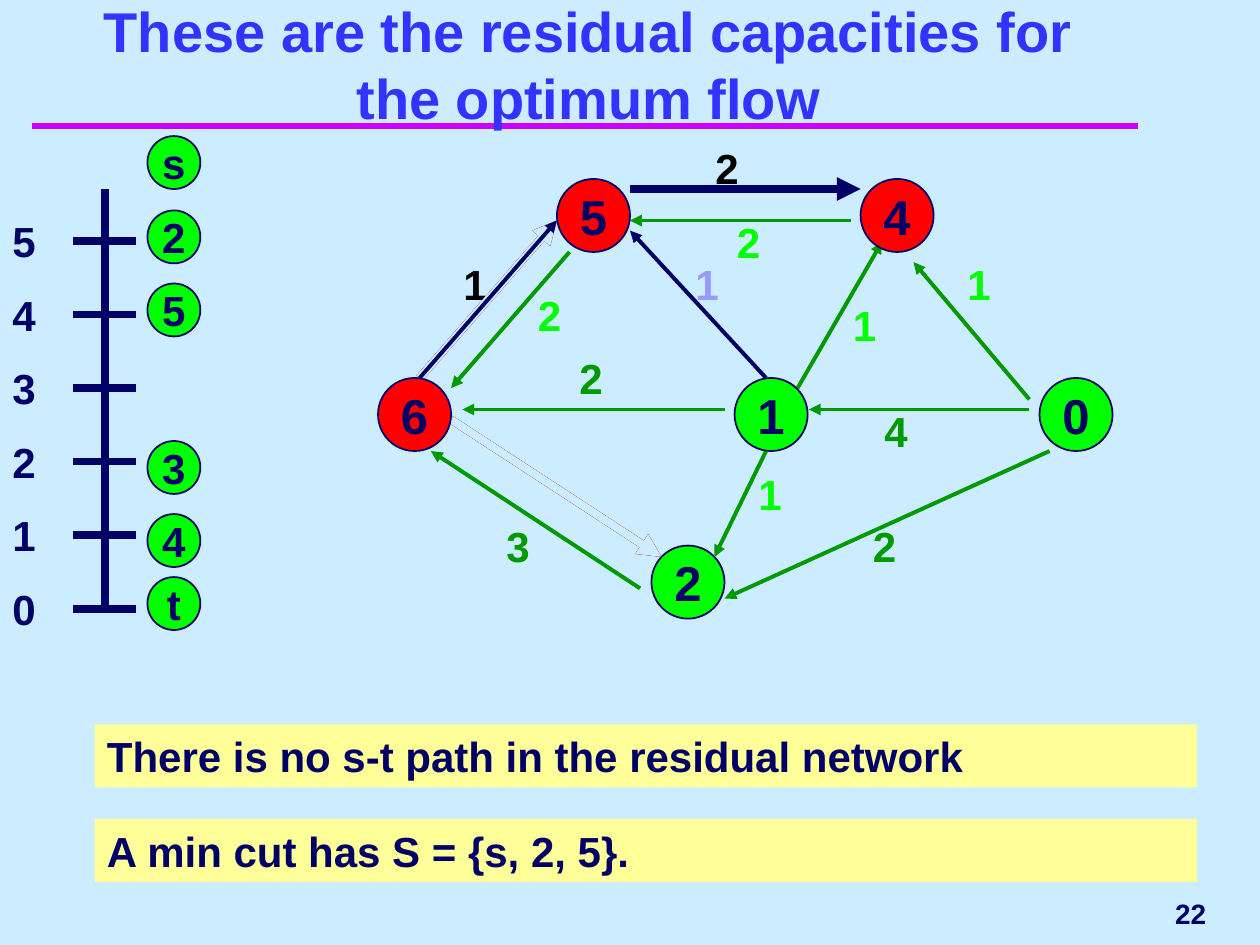
from lxml.etree import SubElement
from pptx import Presentation
from pptx.dml.color import RGBColor
from pptx.enum.shapes import MSO_CONNECTOR, MSO_SHAPE
from pptx.enum.text import MSO_ANCHOR, PP_ALIGN
from pptx.oxml.ns import qn
from pptx.util import Inches, Pt

NAVY, BACKGROUND, BLACK = "000066", "CCECFF", "000000"
GREEN, LIME, RED = "009900", "00FF00", "FF0000"
LILAC, YELLOW, BLUE, MAGENTA = "9999FF", "FFFF99", "3333FF", "CC00FF"

TITLE = "These are the residual capacities for the optimum flow"
PAGE_NUMBER = "22"
NOTES = [("There is no s-t path in the residual network", 5.75),
         ("A min cut has S = {s, 2, 5}.", 6.5)]

# Distance label, left, top, fill
NODE_SIZE = 0.58
NODES = [("0", 8.25, 3, LIME), ("2", 5.17, 4.33, LIME), ("1", 5.83, 3, LIME),
         ("4", 6.83, 1.42, RED), ("5", 4.42, 1.42, RED), ("6", 3, 3, RED)]

# Capacity, left, top, colour
CAPACITIES = [
    ("2", 6.83, 4.08, GREEN), ("3", 3.92, 4.08, GREEN),
    ("4", 6.92, 3.17, GREEN), ("2", 4.5, 2.75, GREEN),
    ("2", 5.58, 1.08, BLACK), ("1", 3.58, 2, BLACK),
    ("1", 5.42, 2, LILAC), ("1", 7.58, 2, LIME),
    ("1", 5.92, 3.67, LIME), ("2", 5.75, 1.67, LIME),
    ("2", 4.17, 2.25, LIME), ("1", 6.67, 2.33, LIME),
]

# Arcs: start, end
SATURATED_ARCS = [((3.58, 3.33), (5.25, 4.42)), ((3.33, 3), (4.42, 1.75))]
FORWARD_ARCS = [((6.08, 3), (5, 1.83)), ((3.33, 3), (4.42, 1.75))]
WIDE_ARC = ((5, 1.5), (6.83, 1.5))
REVERSE_ARCS = [
    ((5.75, 3.25), (3.67, 3.25)), ((8.17, 3.25), (6.42, 3.25)),
    ((5.08, 4.67), (3.42, 3.58)), ((8.33, 3.58), (5.75, 4.75)),
    ((4.52, 2), (3.58, 3.08)), ((6.75, 1.75), (5, 1.75)),
    ((8.17, 3.17), (7.25, 2.08)), ((6.08, 3.58), (5.67, 4.42)),
    ((6.33, 3.08), (7, 1.92)),
]

# Distance scale
SCALE_X, SCALE_TOP, SCALE_BOTTOM = 0.83, 1.5, 4.83
LEVELS, LEVEL_GAP = 6, 7 / 12
SCALE_NODE_SIZE = 0.42
SCALE_NODES = [("t", 4.58), ("4", 4.08), ("3", 3.5),
               ("5", 2.25), ("2", 1.67), ("s", 1.08)]


def color(value):
    return RGBColor.from_string(value)


def write(shape, text, size, text_color=NAVY, align=PP_ALIGN.LEFT,
          anchor=MSO_ANCHOR.TOP, wrap=True):
    frame = shape.text_frame
    frame.word_wrap = wrap
    frame.vertical_anchor = anchor
    paragraph = frame.paragraphs[0]
    paragraph.text = text
    paragraph.alignment = align
    font = paragraph.font
    font.name, font.size, font.bold = "Arial", Pt(size), True
    font.color.rgb = color(text_color)


def add_text(slide, text, box, size=24, text_color=NAVY, **layout):
    shape = slide.shapes.add_textbox(*map(Inches, box))
    write(shape, text, size, text_color, **layout)
    return shape


def add_node(slide, text, left, top, diameter, size, fill):
    shape = slide.shapes.add_shape(
        MSO_SHAPE.OVAL, *map(Inches, (left, top, diameter, diameter)))
    shape.shadow.inherit = False
    shape.fill.solid()
    shape.fill.fore_color.rgb = color(fill)
    shape.line.color.rgb = color(NAVY)
    shape.line.width = Pt(1)
    write(shape, text, size, align=PP_ALIGN.CENTER,
          anchor=MSO_ANCHOR.MIDDLE, wrap=False)


def add_line(slide, start, end, line_color, width, arrow=False):
    line = slide.shapes.add_connector(
        MSO_CONNECTOR.STRAIGHT, *map(Inches, (*start, *end)))
    line.line.color.rgb = color(line_color)
    line.line.width = Pt(width)
    if arrow:
        SubElement(line.line._get_or_add_ln(), qn("a:tailEnd"), type="triangle")
    SubElement(line._element.spPr, qn("a:effectLst"))


def add_scale(slide):
    add_line(slide, (SCALE_X, SCALE_TOP), (SCALE_X, SCALE_BOTTOM), NAVY, 4.5)
    for level in range(LEVELS):
        y = SCALE_BOTTOM - level * LEVEL_GAP
        add_line(slide, (SCALE_X - 0.25, y), (SCALE_X + 0.25, y), NAVY, 4.5)
        add_text(slide, str(level), (0, y - 0.25, 0.42, 0.5))
    for text, top in SCALE_NODES:
        add_node(slide, text, 1.17, top, SCALE_NODE_SIZE, 24, LIME)


def add_network(slide):
    for text, left, top, text_color in CAPACITIES:
        add_text(slide, text, (left, top, 0.59, 0.5), text_color=text_color)
    for start, end in SATURATED_ARCS:
        for line_color in (NAVY, RED, BACKGROUND):
            add_line(slide, start, end, line_color, 4.5, arrow=True)
    for start, end in REVERSE_ARCS:
        add_line(slide, start, end, GREEN, 2.25, arrow=True)
    for start, end in FORWARD_ARCS:
        add_line(slide, start, end, NAVY, 2.25, arrow=True)
    add_line(slide, *WIDE_ARC, NAVY, 4.5, arrow=True)
    for text, left, top, fill in NODES:
        add_node(slide, text, left, top, NODE_SIZE, 28, fill)


def main():
    presentation = Presentation()
    presentation.slide_width, presentation.slide_height = Inches(10), Inches(7.5)
    slide = presentation.slides.add_slide(presentation.slide_layouts[6])
    slide.background.fill.solid()
    slide.background.fill.fore_color.rgb = color(BACKGROUND)

    add_line(slide, (0.25, 1), (9.03, 1), MAGENTA, 4)
    add_text(slide, TITLE, (0.42, 0.67, 8.5, 0.42), 32, BLUE,
             align=PP_ALIGN.CENTER, anchor=MSO_ANCHOR.BOTTOM)
    add_scale(slide)
    add_network(slide)
    for text, top in NOTES:
        note = add_text(slide, text, (0.75, top, 8.75, 0.5))
        note.fill.solid()
        note.fill.fore_color.rgb = color(YELLOW)
    add_text(slide, PAGE_NUMBER, (7.75, 7, 1.92, 0.5), 16,
             align=PP_ALIGN.RIGHT, anchor=MSO_ANCHOR.MIDDLE)
    presentation.save("out.pptx")


if __name__ == "__main__":
    main()
